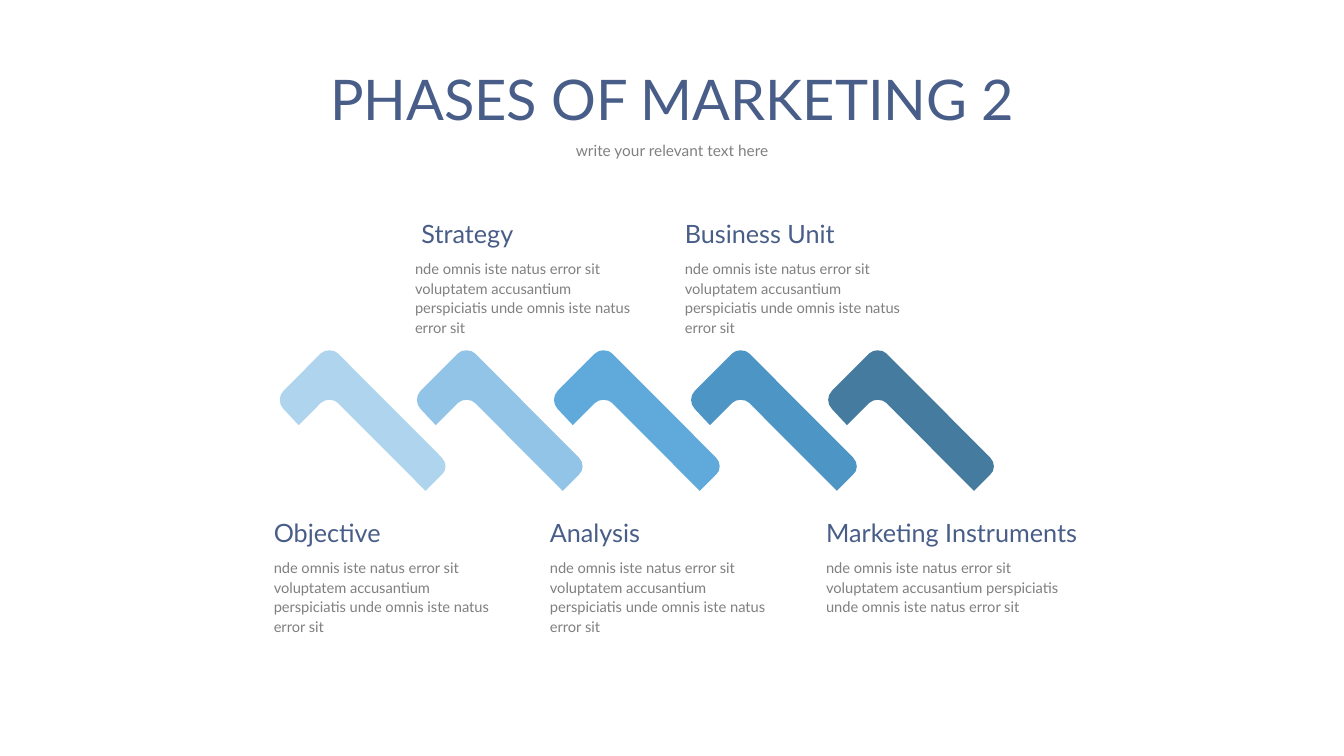
from lxml.etree import SubElement
from pptx import Presentation
from pptx.dml.color import RGBColor as RGB
from pptx.enum.text import MSO_ANCHOR as Anchor, MSO_AUTO_SIZE as Fit, PP_ALIGN as Align
from pptx.oxml.ns import qn
from pptx.util import Cm, Pt

NAVY = RGB(0x48, 0x5D, 0x88)
GREY = RGB(0x80, 0x80, 0x80)
BLUES = [RGB(0xAF, 0xD4, 0xED), RGB(0x91, 0xC4, 0xE6), RGB(0x60, 0xA9, 0xDB),
         RGB(0x4D, 0x95, 0xC5), RGB(0x45, 0x7B, 0x9F)]

BODY = ("nde omnis iste natus error sit voluptatem accusantium "
        "perspiciatis unde omnis iste natus error sit")
BELOW = [("Objective", 3.02, 5.77), ("Analysis", 6.6, 5.77),
         ("Marketing Instruments", 6.81, 5.94)]
ABOVE = [(" Strategy", 6.6, 5.77), ("Business Unit", 6.6, 5.77)]

HOOK_W, HOOK_H = 167, 139
START = (51, 0)
HOOK = [[(47, 0), (44, 1), (42, 3)], [(5, 40)],
        [(0, 45), (0, 53), (5, 58)], [(20, 74)], [(42, 52)],
        [(44, 50), (47, 49), (51, 49)], [(54, 49), (57, 50), (59, 52)],
        [(146, 139)], [(162, 123)], [(167, 119), (167, 111), (162, 106)],
        [(59, 3)], [(57, 1), (54, 0), START]]

TITLE = {"size": Pt(40), "color": NAVY, "line": Pt(43), "align": Align.CENTER}
SUB = {"size": Pt(11), "color": GREY, "line": 0.9, "align": Align.CENTER}
HEAD = {"size": Pt(18), "color": NAVY, "line": 0.9, "align": Align.LEFT}
NOTE = {"size": Pt(10.5), "color": GREY, "line": Pt(14), "align": Align.LEFT}


def assign(item, values):
    """Set each named attribute of an item."""
    for name, value in values.items():
        setattr(item, name, value)


def place(shape, box):
    """Move a shape to a box given in centimetres."""
    names = ("left", "top", "width", "height")
    assign(shape, dict(zip(names, map(Cm, box))))


def write(shape, text, style, anchor=Anchor.TOP):
    """Put one styled paragraph into a shape."""
    frame = shape.text_frame
    frame.text = text
    assign(frame, {"word_wrap": True, "auto_size": Fit.NONE,
                   "vertical_anchor": anchor})
    para = frame.paragraphs[0]
    assign(para, {"line_spacing": style["line"], "alignment": style["align"]})
    font = para.runs[0].font
    assign(font, {"name": "Lato", "size": style["size"]})
    font.color.rgb = style["color"]


def label(slide, box, text, style):
    """Add a text box without margins."""
    shape = slide.shapes.add_textbox(*map(Cm, box))
    write(shape, text, style)
    sides = ("left", "top", "right", "bottom")
    assign(shape.text_frame, {f"margin_{side}": 0 for side in sides})


def header(slide, box):
    """Fill the title and subtitle placeholders, stacked in the box."""
    x, y, w, h = box
    title, sub = slide.shapes.title, slide.placeholders[1]
    place(title, (x, y, w, 1.65))
    write(title, "PHASES OF MARKETING 2", TITLE, Anchor.BOTTOM)
    place(sub, (x, y + 1.69, w, h - 1.69))
    write(sub, "write your relevant text here", SUB)


def phases(slide, box, items):
    """Place headings with notes at an equal pitch across the box."""
    x, y, w, h = box
    pitch = w / len(items)
    for i, (text, head_w, note_w) in enumerate(items):
        left = x + i * pitch
        label(slide, (left, y, head_w, 0.91), text, HEAD)
        label(slide, (left, y + 0.91, note_w, h - 0.91), BODY, NOTE)


def curve(shape):
    """Turn every three line segments of a freeform into one cubic curve."""
    track = next(shape.element.iter(qn("a:path")))
    lines = track.findall(qn("a:lnTo"))
    close = track.find(qn("a:close"))
    for i in range(0, len(HOOK) * 3, 3):
        arc = SubElement(track, qn("a:cubicBezTo"))
        for line in lines[i:i + 3]:
            arc.append(line[0])
            track.remove(line)
    track.append(close)


def hook(slide, box, color):
    """Draw one rounded hook that fills the box."""
    x, y, w, h = box
    spots = [START]
    for part in HOOK:
        spots += part if len(part) == 3 else part * 3
    points = [(Cm(x + w * px / HOOK_W), Cm(y + h * py / HOOK_H))
              for px, py in spots]
    pen = slide.shapes.build_freeform(*points[0])
    pen.add_line_segments(points[1:], close=True)
    shape = pen.convert_to_shape()
    curve(shape)
    shape.shadow.inherit = False
    shape.fill.solid()
    shape.fill.fore_color.rgb = color
    shape.line.fill.background()


def chain(slide, box):
    """Draw the row of hooks, evenly spread over the box."""
    x, y, w, h = box
    size = 4.24
    pitch = (w - size) / (len(BLUES) - 1)
    for i, color in enumerate(BLUES):
        hook(slide, (x + i * pitch, y, size, h), color)


def main():
    """Build and save the slide."""
    deck = Presentation()
    assign(deck, {"slide_width": Cm(33.87), "slide_height": Cm(19.05)})
    slide = deck.slides.add_slide(deck.slide_layouts[0])
    header(slide, (4.24, 1.8, 25.4, 2.59))
    phases(slide, (6.9, 13.12, 20.88, 2.64), BELOW)
    chain(slide, (7.02, 8.83, 18.06, 3.54))
    phases(slide, (10.46, 5.59, 13.6, 2.64), ABOVE)
    deck.save("out.pptx")


if __name__ == "__main__":
    main()
